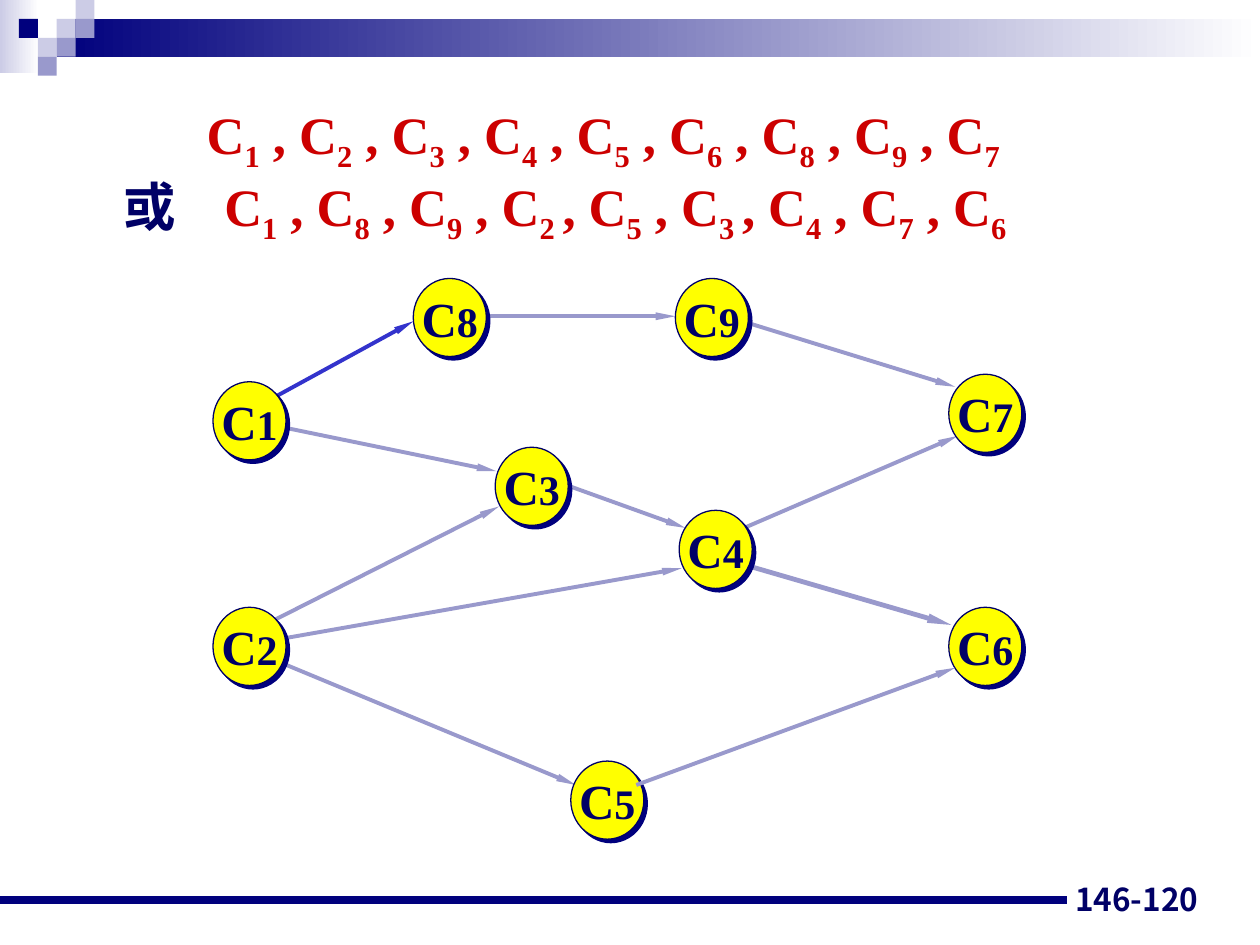
"""Build a slide with two topological orderings of a course graph."""
from typing import NamedTuple

from lxml import etree
from pptx import Presentation
from pptx.dml.color import RGBColor
from pptx.enum import shapes, text
from pptx.oxml import ns
from pptx.util import Inches, Pt

NAVY, INK, RED, YELLOW = "00007D", "000066", "CC0000", "FFFF00"
PALE, LILAC, BLUE, WHITE = "CCCCE6", "9999CC", "3333CC", "FFFFFF"
SERIF, SANS = "Times New Roman", "Noto Sans CJK JP"
SQUARE = 0.15
NODE_WIDTH, NODE_HEIGHT = 0.58, 0.62


class Square(NamedTuple):
    column: int
    row: int
    color: str


class Node(NamedTuple):
    number: int
    left: float
    top: float


class Edge(NamedTuple):
    start: tuple[float, float]
    end: tuple[float, float]
    color: str = LILAC
    width: float = 2.25


SQUARES = [
    Square(3, 1, PALE), Square(4, 0, PALE), Square(4, 1, LILAC), Square(2, 2, PALE),
    Square(1, 1, NAVY), Square(3, 2, LILAC), Square(2, 3, LILAC),
]
NODES = [
    Node(8, 3.28, 2.21), Node(3, 3.93, 3.55), Node(5, 4.53, 6.04),
    Node(4, 5.39, 4.05), Node(9, 5.36, 2.21), Node(6, 7.53, 4.82),
    Node(7, 7.53, 2.97), Node(1, 1.69, 3.03), Node(2, 1.69, 4.82),
]
EDGES = [
    Edge((2.12, 5.09), (5.41, 4.51)),
    Edge((4.44, 3.83), (5.44, 4.19)),
    Edge((5.86, 2.54), (7.58, 3.07)),
    Edge((5.79, 4.24), (7.6, 3.46)),
    Edge((3.61, 2.51), (5.36, 2.51)),
    Edge((5.9, 4.48), (7.55, 4.96), width=2.75),
    Edge((2.11, 5.21), (4.57, 6.23)),
    Edge((2.1, 4.96), (3.96, 4.02)),
    Edge((1.85, 3.31), (3.94, 3.74)),
    Edge((2.11, 3.19), (3.28, 2.55), BLUE),
]
FRONT_EDGE = Edge((5.05, 6.23), (7.58, 5.3))
FIRST_ORDER = "C_1_ , C_2_ , C_3_ , C_4_ , C_5_ , C_6_ , C_8_ , C_9_ , C_7"
SECOND_ORDER = "C_1_ , C_8_ , C_9_ , C_2 _, C_5_ , C_3 _, C_4_ , C_7_ , C_6"


def rgb(color: str) -> RGBColor:
    """Turn a hex string into a colour."""
    return RGBColor.from_string(color)


def add_run(paragraph, content: str, *, size: float, color: str = INK,
            font: str = SERIF, subscript: bool = False) -> None:
    """Add a bold run to a paragraph."""
    run = paragraph.add_run()
    run.text = content
    run.font.size = Pt(size)
    run.font.bold = True
    run.font.name = font
    run.font.color.rgb = rgb(color)
    if subscript:
        run.font._element.set("baseline", "-25000")


def add_rectangle(slide, left: float, top: float, width: float, height: float,
                  color: str, fade: bool = False) -> None:
    """Draw a borderless rectangle, plain or fading to white."""
    shape = slide.shapes.add_shape(shapes.MSO_SHAPE.RECTANGLE, Inches(left), Inches(top),
                                   Inches(width), Inches(height))
    shape.shadow.inherit = False
    shape.line.fill.background()
    if fade:
        shape.fill.gradient()
        shape.fill.gradient_angle = 0
        for stop, stop_color in zip(shape.fill.gradient_stops, (color, WHITE)):
            stop.color.rgb = rgb(stop_color)
    else:
        shape.fill.solid()
        shape.fill.fore_color.rgb = rgb(color)


def add_line(slide, edge: Edge, arrow: bool = True) -> None:
    """Draw a straight line, with an arrowhead at its end if asked."""
    connector = slide.shapes.add_connector(
        shapes.MSO_CONNECTOR.STRAIGHT, *map(Inches, edge.start + edge.end))
    connector.line.color.rgb = rgb(edge.color)
    connector.line.width = Pt(edge.width)
    properties = connector._element.spPr
    if arrow:
        etree.SubElement(properties.find(ns.qn("a:ln")), ns.qn("a:tailEnd"),
                         type="triangle", w="sm", len="lg")
    etree.SubElement(properties, ns.qn("a:effectLst"))


def add_node(slide, node: Node) -> None:
    """Draw a labelled course circle with a hard shadow."""
    shape = slide.shapes.add_shape(shapes.MSO_SHAPE.OVAL, Inches(node.left), Inches(node.top),
                                   Inches(NODE_WIDTH), Inches(NODE_HEIGHT))
    shape.fill.solid()
    shape.fill.fore_color.rgb = rgb(YELLOW)
    shape.line.color.rgb = rgb(INK)
    shape.line.width = Pt(0.75)
    shape.shadow.inherit = False
    effects = shape._element.spPr.find(ns.qn("a:effectLst"))
    shadow = etree.SubElement(effects, ns.qn("a:outerShdw"), blurRad="0", dist=str(Pt(2.8)),
                              dir="2700000", algn="ctr", rotWithShape="0")
    etree.SubElement(shadow, ns.qn("a:srgbClr"), val=NAVY)
    frame = shape.text_frame
    frame.word_wrap = False
    frame.vertical_anchor = text.MSO_ANCHOR.MIDDLE
    paragraph = frame.paragraphs[0]
    paragraph.alignment = text.PP_ALIGN.CENTER
    add_run(paragraph, "C", size=28)
    add_run(paragraph, str(node.number), size=24)


def add_order(paragraph, order: str, margin: float, indent: float = 0, lead: str = "") -> None:
    """Write an ordering in which underscores enclose subscripts."""
    properties = paragraph._p.get_or_add_pPr()
    properties.set("marL", str(Inches(margin)))
    properties.set("indent", str(Inches(indent)))
    etree.SubElement(properties, ns.qn("a:buNone"))
    paragraph.space_before = Pt(0)
    if lead:
        add_run(paragraph, lead, size=30)
    for index, part in enumerate(order.split("_")):
        add_run(paragraph, part, size=30, color=RED, subscript=index % 2 == 1)


def add_orders(slide) -> None:
    """Fill the body placeholder with both orderings."""
    body = slide.placeholders[1]
    body.left, body.top, body.width, body.height = map(Inches, (0.5, 0.76, 9, 1.36))
    frame = body.text_frame
    frame.auto_size = text.MSO_AUTO_SIZE.NONE
    frame.vertical_anchor = text.MSO_ANCHOR.TOP
    add_order(frame.paragraphs[0], FIRST_ORDER, 1.04)
    add_order(frame.add_paragraph(), SECOND_ORDER, 1.18, indent=-0.8, lead="或\t")


def add_page_number(slide) -> None:
    """Write the page number at the lower right."""
    box = slide.shapes.add_textbox(*map(Inches, (7.28, 6.83, 2.33, 0.5)))
    frame = box.text_frame
    frame.word_wrap = True
    frame.vertical_anchor = text.MSO_ANCHOR.BOTTOM
    frame.paragraphs[0].alignment = text.PP_ALIGN.RIGHT
    add_run(frame.paragraphs[0], "146-120", size=18, font=SANS)


def main() -> None:
    """Build and save the presentation."""
    presentation = Presentation()
    presentation.slide_width, presentation.slide_height = Inches(10), Inches(7.5)
    slide = presentation.slides.add_slide(presentation.slide_layouts[1])
    title = slide.shapes.title._element
    title.getparent().remove(title)
    add_rectangle(slide, 0, 0, 0.31, 0.58, PALE, fade=True)
    add_rectangle(slide, 0.45, 0.15, 9.55, 0.3, NAVY, fade=True)
    for square in SQUARES:
        add_rectangle(slide, square.column * SQUARE, square.row * SQUARE,
                      SQUARE, SQUARE, square.color)
    add_line(slide, Edge((0, 7.14), (8.47, 7.14), NAVY, 4.5), arrow=False)
    add_page_number(slide)
    add_orders(slide)
    for edge in EDGES:
        add_line(slide, edge)
    for node in NODES:
        add_node(slide, node)
    add_line(slide, FRONT_EDGE)
    presentation.save("out.pptx")


if __name__ == "__main__":
    main()
